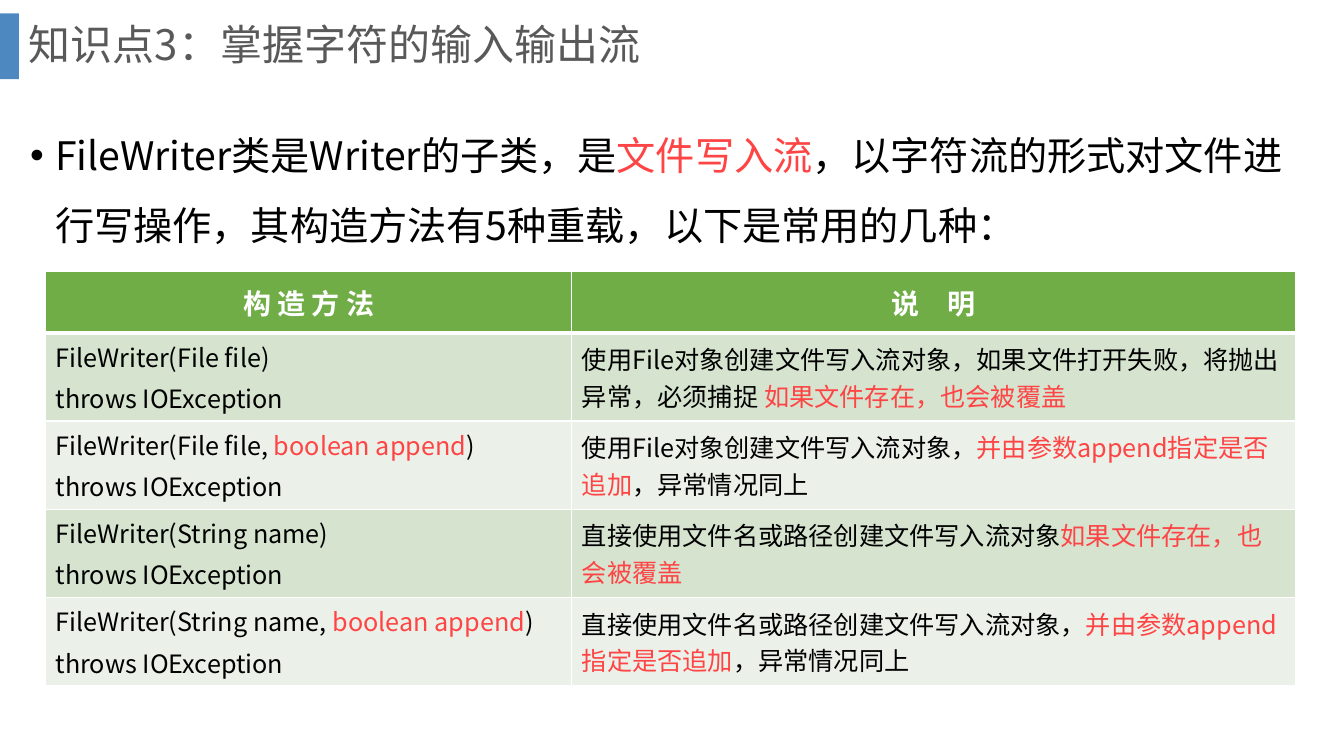
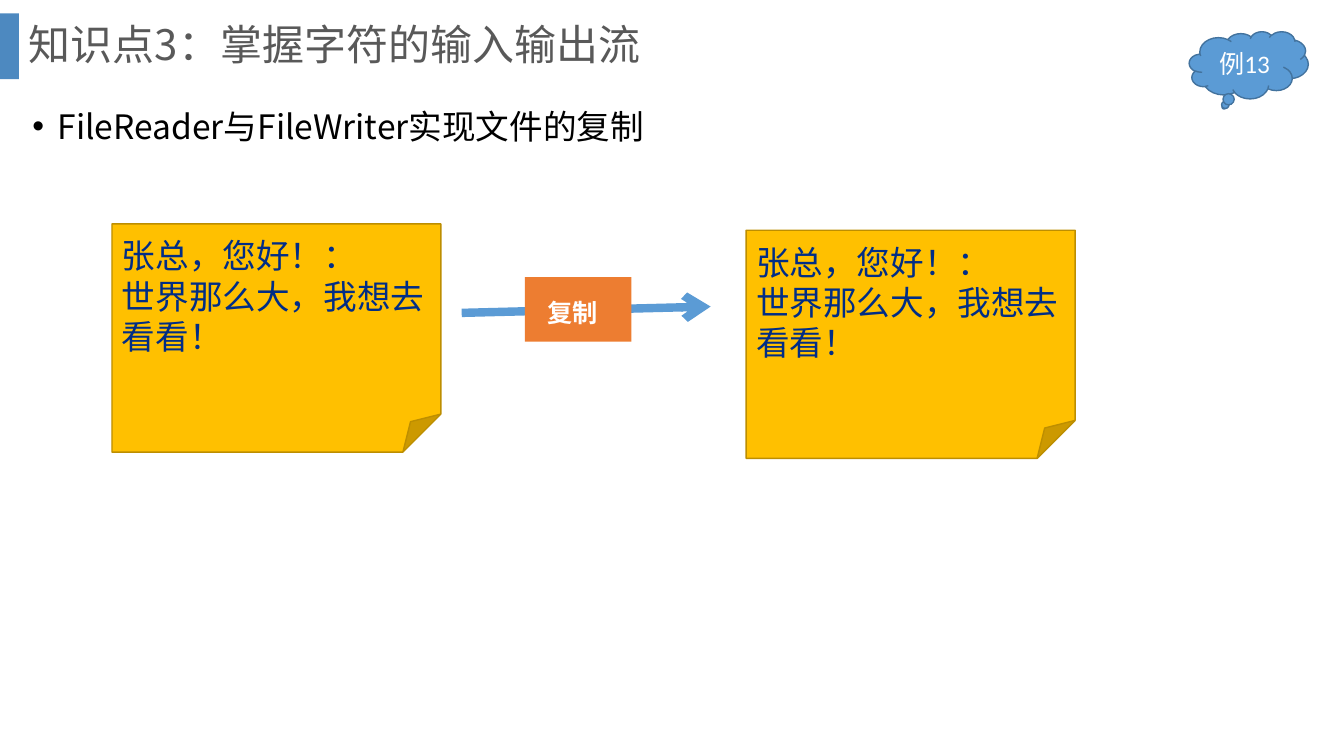
"""Build two slides on character streams: FileWriter constructors and a file copy."""
import dataclasses

import lxml.etree
import pptx
import pptx.dml.color
import pptx.enum.dml
import pptx.enum.shapes
import pptx.enum.text
import pptx.oxml
import pptx.oxml.ns
import pptx.util

Pt = pptx.util.Pt
RGB = pptx.dml.color.RGBColor.from_string
Align = pptx.enum.text.PP_ALIGN
Anchor = pptx.enum.text.MSO_ANCHOR
Shape = pptx.enum.shapes.MSO_SHAPE
qn = pptx.oxml.ns.qn


@dataclasses.dataclass(frozen=True)
class Theme:
    cjk: str = "Noto Sans CJK SC"
    latin: str = "Calibri"
    band: str = "2E75B6"
    title: str = "595959"
    black: str = "000000"
    white: str = "FFFFFF"
    red: str = "FE4444"
    header: str = "70AD47"
    stripes: tuple = ("D5E3CF", "EBF1E9")
    note: str = "FFC000"
    note_line: str = "BD8E00"
    note_text: str = "012D86"
    blue: str = "5B9BD5"
    blue_line: str = "43739E"
    orange: str = "ED7D31"
    title_size: int = 30
    lead_size: int = 28
    text_size: int = 24
    header_size: int = 20
    small_size: int = 18


theme = Theme()


def write(frame, lines, size, color, font=theme.cjk, bold=False, align=Align.LEFT,
          spacing=None, gap=0, bullet=False):
    frame.word_wrap = True
    for number, line in enumerate(lines):
        para = frame.paragraphs[0] if number == 0 else frame.add_paragraph()
        para.alignment = align
        if spacing:
            para.line_spacing = spacing
        if number:
            para.space_before = Pt(gap)
        if bullet:
            props = para._p.get_or_add_pPr()
            props.set("marL", str(Pt(18)))
            props.set("indent", str(-Pt(18)))
            lxml.etree.SubElement(props, qn("a:buFont"), typeface="Arial")
            lxml.etree.SubElement(props, qn("a:buChar"), char="•")
        para.font.size = Pt(size)
        para.font.bold = bold
        para.font.name = font
        para.font.color.rgb = RGB(color)
        lxml.etree.SubElement(para.font._rPr, qn("a:ea"), typeface=theme.cjk)
        for index, words in enumerate(line.split("|")):
            if words:
                span = para.add_run()
                span.text = words
                if index % 2:
                    span.font.color.rgb = RGB(theme.red)


def add_box(page, kind, left, top, width, height, fill, line=None):
    box = page.shapes.add_shape(kind, Pt(left), Pt(top), Pt(width), Pt(height))
    box.shadow.inherit = False
    box.fill.solid()
    box.fill.fore_color.rgb = RGB(fill)
    if line:
        box.line.color.rgb = RGB(line)
        box.line.width = Pt(1)
    else:
        box.line.fill.background()
    return box


deck = pptx.Presentation()
deck.slide_width, deck.slide_height = Pt(960), Pt(540)

leads = [
    ("FileWriter类是Writer的子类，是|文件写入流|，以字符流的形式对文件进行写操作，"
     "其构造方法有5种重载，以下是常用的几种：", 14.4, 74, 929, 110, theme.lead_size, 50),
    ("FileReader与FileWriter实现文件的复制", 16, 58, 555, 54, theme.text_size, 43),
]
pages = []
for words, left, top, width, height, size, pitch in leads:
    page = deck.slides.add_slide(deck.slide_layouts[5])
    band = add_box(page, Shape.RECTANGLE, 0, 9.5, 13.5, 47, theme.band)
    tint = band.fill._xPr.find(qn("a:solidFill"))[0]
    lxml.etree.SubElement(tint, qn("a:alpha"), val="85000")

    title = page.shapes.title
    title.left, title.top, title.width, title.height = Pt(13.5), Pt(0), Pt(911.5), Pt(67)
    title.text_frame.vertical_anchor = Anchor.MIDDLE
    write(title.text_frame, ["知识点3：掌握字符的输入输出流"], theme.title_size, theme.title, spacing=0.9)

    lead = page.shapes.add_textbox(Pt(left), Pt(top), Pt(width), Pt(height))
    write(lead.text_frame, [words], size, theme.black, spacing=Pt(pitch), bullet=True)
    pages.append(page)

constructors_page, copy_page = pages

rows = [
    (["构 造 方 法"], ["说　明"]),
    (["FileWriter(File file)", "throws IOException"],
     ["使用File对象创建文件写入流对象，如果文件打开失败，将抛出异常，必须捕捉| 如果文件存在，也会被覆盖"]),
    (["FileWriter(File file, |boolean append|)", "throws IOException"],
     ["使用File对象创建文件写入流对象，|并由参数append指定是否追加|，异常情况同上"]),
    (["FileWriter(String name)", "throws IOException"],
     ["直接使用文件名或路径创建文件写入流对象|如果文件存在，也会被覆盖"]),
    (["FileWriter(String name, |boolean append|)", "throws IOException"],
     ["直接使用文件名或路径创建文件写入流对象，|并由参数append指定是否追加|，异常情况同上"]),
]
header_height, row_height = 44, 63
widths = [376, 517]
table = constructors_page.shapes.add_table(
    len(rows), len(widths), Pt(32.5), Pt(193.7), Pt(sum(widths)),
    Pt(header_height + row_height * (len(rows) - 1))).table
for column, width in zip(table.columns, widths):
    column.width = Pt(width)
for row_number, row in enumerate(rows):
    is_header = row_number == 0
    table.rows[row_number].height = Pt(header_height if is_header else row_height)
    for column_number, lines in enumerate(row):
        cell = table.cell(row_number, column_number)
        cell.vertical_anchor = Anchor.MIDDLE
        for side in ("L", "R", "T", "B"):
            heavy = (row_number, side) in ((0, "B"), (1, "T"))
            edge = lxml.etree.SubElement(cell._tc.get_or_add_tcPr(), qn(f"a:ln{side}"),
                                         w=str(Pt(3 if heavy else 1)))
            paint = lxml.etree.SubElement(edge, qn("a:solidFill"))
            lxml.etree.SubElement(paint, qn("a:srgbClr"), val=theme.white)
        cell.fill.solid()
        cell.fill.fore_color.rgb = RGB(theme.header if is_header else theme.stripes[(row_number - 1) % 2])
        if is_header:
            write(cell.text_frame, lines, theme.header_size, theme.white, bold=True, align=Align.CENTER)
        else:
            write(cell.text_frame, lines, theme.small_size, theme.black, gap=3.6)

for left, top in [(80, 160), (533, 164.5)]:
    note = add_box(copy_page, Shape.FOLDED_CORNER, left, top, 235, 163, theme.note, theme.note_line)
    note.text_frame.vertical_anchor = Anchor.TOP
    note.text_frame.margin_top = Pt(8)
    write(note.text_frame, ["张总，您好！：", "世界那么大，我想去看看！"],
          theme.text_size, theme.note_text, theme.latin)

arrow = copy_page.shapes.add_connector(
    pptx.enum.shapes.MSO_CONNECTOR.STRAIGHT, Pt(329.8), Pt(223.5), Pt(507.6), Pt(219))
arrow.line.color.rgb = RGB(theme.blue)
arrow.line.width = Pt(6)
lxml.etree.SubElement(arrow.line._get_or_add_ln(), qn("a:tailEnd"), type="arrow")
lxml.etree.SubElement(arrow._element.spPr, qn("a:effectLst"))

label = add_box(copy_page, Shape.RECTANGLE, 375, 198, 76, 46, theme.orange)
label.text_frame.vertical_anchor = Anchor.MIDDLE
label.text_frame.margin_left = Pt(15.8)
label.text_frame.margin_top, label.text_frame.margin_bottom = Pt(5), Pt(0)
write(label.text_frame, ["复制"], theme.small_size, theme.white, bold=True)

cloud = add_box(copy_page, Shape.CLOUD_CALLOUT, 849.5, 22.5, 85, 48, theme.blue, theme.blue_line)
cloud.text_frame.vertical_anchor = Anchor.MIDDLE
cloud.text_frame.margin_left = cloud.text_frame.margin_right = Pt(0)
write(cloud.text_frame, ["例13"], theme.small_size, theme.white, theme.latin, align=Align.CENTER)

deck.save("out.pptx")
